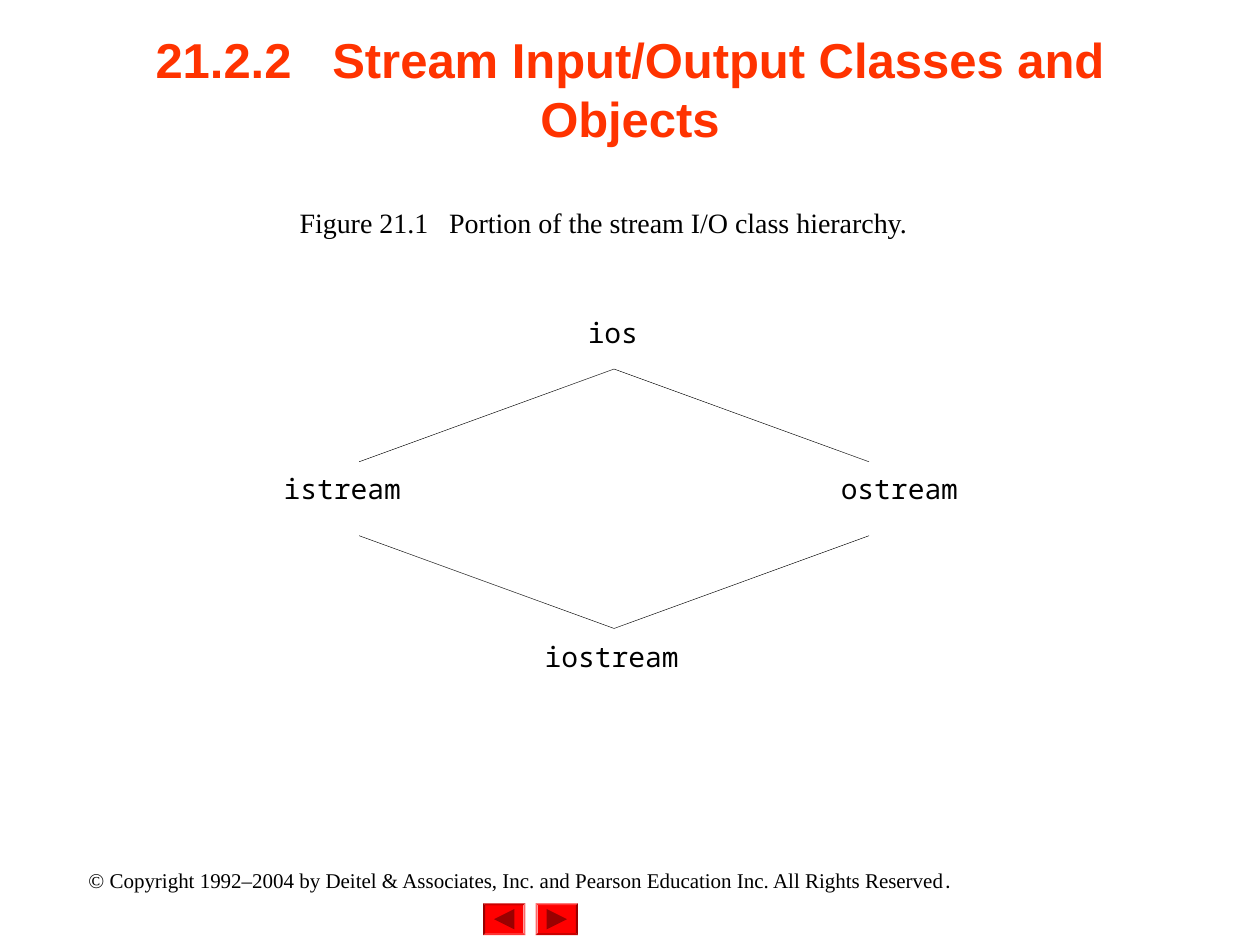
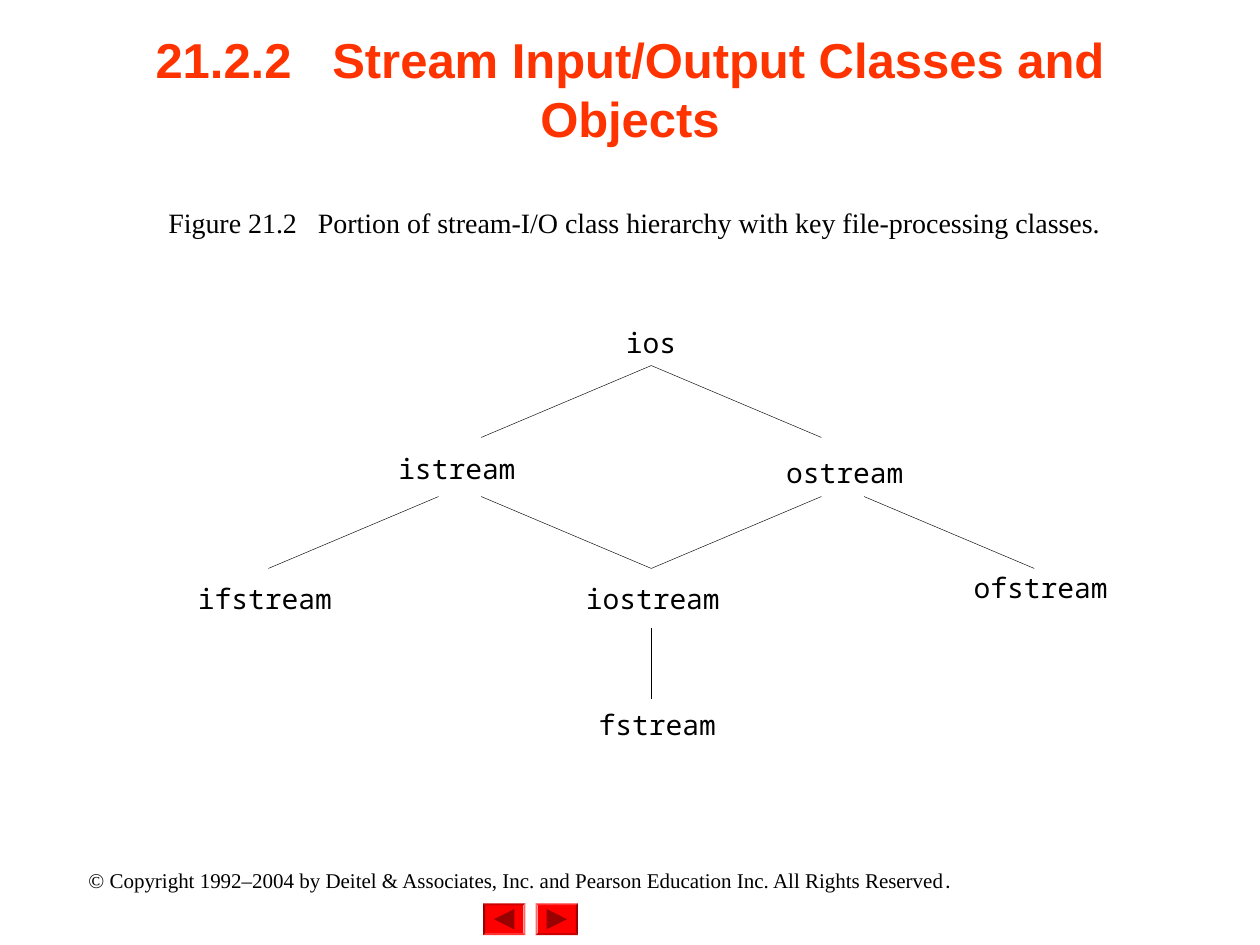
import lxml.etree
import pptx
import pptx.dml.color
import pptx.enum.shapes
import pptx.enum.text
import pptx.oxml.ns
import pptx.util

Cm, Pt = pptx.util.Cm, pptx.util.Pt
RGBColor = pptx.dml.color.RGBColor
SHAPE = pptx.enum.shapes.MSO_SHAPE
CENTER = pptx.enum.text.PP_ALIGN.CENTER

TITLE_RED = RGBColor(0xFF, 0x33, 0x00)
BUTTON_RED = RGBColor(0xFF, 0x00, 0x00)
ARROW_RED = RGBColor(0x99, 0x00, 0x00)
BLACK = RGBColor(0x00, 0x00, 0x00)
SERIF, SANS, MONO, DOT_FONT = "Times New Roman", "Arial", "Noto Sans Mono", "League Spartan"

TITLE = "21.2.2   Stream Input/Output Classes and Objects"
COPYRIGHT = ("© Copyright 1992–2004 by Deitel & Associates, Inc. and "
             "Pearson Education Inc. All Rights Reserved")

TITLE_BOX = (1.9, 0.2, 21.6, 3.18)
FOOTER_BOX = (1.27, 17.35, 18.42, 1.5)


def set_font(r, name, size, color=BLACK, bold=False):
    r.font.name = name
    r.font.size = Pt(size)
    r.font.color.rgb = color
    r.font.bold = bold


def add_text(s, text, box, font, size, inset=(0, 0)):
    """Add a one-paragraph text box and return its paragraph."""
    tf = s.shapes.add_textbox(*map(Cm, box)).text_frame
    tf.word_wrap = True
    tf.margin_left = tf.margin_right = Cm(inset[0])
    tf.margin_top = tf.margin_bottom = Cm(inset[1])
    p = tf.paragraphs[0]
    p.text = text
    set_font(p.runs[0], font, size)
    return p


def add_title(s, box):
    sp = s.shapes.title
    sp.left, sp.top, sp.width, sp.height = map(Cm, box)
    tf = sp.text_frame
    tf.text = TITLE
    tf.vertical_anchor = pptx.enum.text.MSO_ANCHOR.MIDDLE
    tf.auto_size = pptx.enum.text.MSO_AUTO_SIZE.NONE
    p = tf.paragraphs[0]
    p.alignment = CENTER
    set_font(p.runs[0], SANS, 28, TITLE_RED, True)


def add_solid(s, shape, box, color, rotation):
    sp = s.shapes.add_shape(shape, *map(Cm, box))
    sp.shadow.inherit = False
    sp.fill.solid()
    sp.fill.fore_color.rgb = color
    sp.line.fill.background()
    sp.rotation = rotation
    return sp


def add_button(s, left, top, bevel_turn, arrow_turn):
    width, height, arrow = 0.85, 0.64, 0.41
    sp = add_solid(s, SHAPE.BEVEL, (left, top, width, height), BUTTON_RED, bevel_turn)
    sp.adjustments[0] = 0.06
    arrow_box = (left + (width - arrow) / 2, top + (height - arrow) / 2, arrow, arrow)
    add_solid(s, SHAPE.ISOSCELES_TRIANGLE, arrow_box, ARROW_RED, arrow_turn)


def add_footer(s, box):
    left, top, width, _ = box
    # Navigation buttons
    for dx, bevel_turn, arrow_turn in ((8.47, 180, 270), (9.53, 0, 90)):
        add_button(s, left + dx, top + 0.86, bevel_turn, arrow_turn)
    # Copyright line
    p = add_text(s, COPYRIGHT, (left, top, width, 0.76), SERIF, 12, (0.25, 0.13))
    p.alignment = CENTER
    r = p.add_run()
    r.text = "."
    set_font(r, DOT_FONT, 12)


def add_caption(s, text, box):
    add_text(s, text, box, SERIF, 16, (0.25, 0.13)).alignment = CENTER


def style_line(sp):
    sp.line.color.rgb = BLACK
    sp.line.width = Pt(0.25)


def add_branch(s, x, y, half, rise):
    """Two lines meeting at (x, y); a negative rise opens upwards."""
    fb = s.shapes.build_freeform(Cm(x + half), Cm(y + rise))
    fb.add_line_segments([(Cm(x), Cm(y)), (Cm(x - half), Cm(y + rise))], close=False)
    sp = fb.convert_to_shape()
    sp.shadow.inherit = False
    sp.fill.background()
    style_line(sp)


def add_link(s, x1, y1, x2, y2):
    kind = pptx.enum.shapes.MSO_CONNECTOR.STRAIGHT
    sp = s.shapes.add_connector(kind, *map(Cm, (x1, y1, x2, y2)))
    style_line(sp)
    lxml.etree.SubElement(sp._element.spPr, pptx.oxml.ns.qn("a:effectLst"))


def add_class_names(s, names, x, y):
    """Place names by their offsets from the top of the tree at (x, y)."""
    for name, dx, dy in names:
        width = 0.34 * len(name) + 0.6
        p = add_text(s, name, (x + dx, y + dy, width, 0.9), MONO, 16)
        p.line_spacing = 0.64


def add_stream_diamond(s, box):
    left, top, width, height = box
    half, rise = width / 2, 1.87
    x = left + half
    add_class_names(s, [("ios", -0.53, -0.86), ("iostream", -1.4, 5.67),
                        ("ostream", 4.57, 2.29), ("istream", -6.66, 2.29)], x, top)
    add_branch(s, x, top, half, rise)
    add_branch(s, x, top + height, half, -rise)


def add_file_stream_tree(s, box):
    left, top, width, height = box
    half, rise, gap = 3.43, 1.45, 0.86
    x = left + width / 2
    upper, lower = top + 2.64, top + 2.64 + rise
    add_class_names(s, [("ios", -0.51, -0.59), ("istream", -5.1, 1.95),
                        ("ostream", 2.72, 2.03), ("ifstream", -9.14, 4.57),
                        ("iostream", -1.32, 4.57), ("ofstream", 6.5, 4.34),
                        ("fstream", -1.06, 7.11)], x, top)
    # Diamond from ios to iostream
    add_branch(s, x, top, half, rise)
    add_branch(s, x, lower, half, -rise)
    # Outer branches to the file streams
    for side in (-1, 1):
        start = x + side * (half + gap)
        add_link(s, start, upper, start + side * half, lower)
    add_link(s, x, top + height - rise, x, top + height)


def add_figure_slide(prs, caption, caption_box, add_tree, tree_box):
    s = prs.slides.add_slide(prs.slide_layouts[5])
    add_footer(s, FOOTER_BOX)
    add_title(s, TITLE_BOX)
    add_caption(s, caption, caption_box)
    add_tree(s, tree_box)


def main():
    prs = pptx.Presentation()
    prs.slide_width, prs.slide_height = Cm(25.4), Cm(19.05)
    add_figure_slide(prs, "Figure 21.1   Portion of the stream I/O class hierarchy.",
                     (2.74, 4.02, 18.85, 0.94),
                     add_stream_diamond, (7.24, 7.44, 10.28, 5.23))
    add_figure_slide(prs, "Figure 21.2   Portion of stream-I/O class hierarchy "
                     "with key file-processing classes.",
                     (3.05, 4.02, 19.48, 0.94),
                     add_file_stream_tree, (5.41, 7.37, 15.44, 6.73))
    prs.save("out.pptx")


if __name__ == "__main__":
    main()
